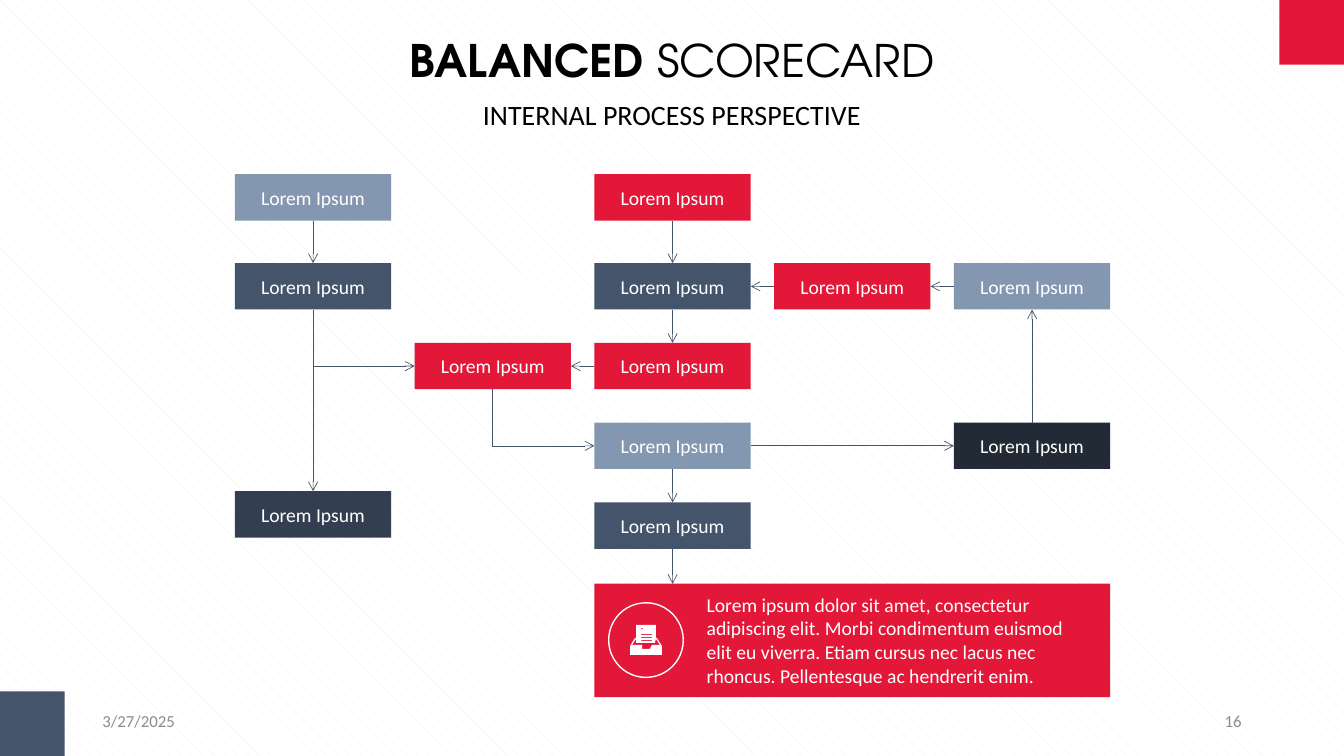
from lxml import etree
from pptx import Presentation
from pptx import util as u
from pptx.dml.color import RGBColor
from pptx.enum import dml, shapes, text
from pptx.oxml.ns import qn

RED, SLATE, STEEL = "E31737", "44546A", "8497B0"
CHARCOAL, NAVY = "333F50", "222A35"
WHITE, BLACK, GREY = "FFFFFF", "000000", "8C8C8C"
TOP, LEFT, BOTTOM, RIGHT = range(4)  # connection sites of a rectangle
CENTER, ALIGN_RIGHT = text.PP_ALIGN.CENTER, text.PP_ALIGN.RIGHT

BOX_WIDTH, BOX_HEIGHT = 3.94, 1.17
TRAY_OUTLINE = [(0, 21), (5, 13), (6.5, 13), (6.5, 0), (25.5, 0), (25.5, 13),
                (27, 13), (32, 21), (32, 30), (0, 30)]
TRAY_OPENING = [(2, 20), (6, 14), (6.5, 18), (25, 18), (25.5, 14), (30, 20),
                (21.5, 20), (20.5, 24), (12.5, 24), (11.5, 20)]
PAGE_LINES = [(11, 3, 13), (13.5, 5.5, 21.5), (11, 9, 21.5),
              (11, 12, 21.5), (11, 15, 21.5)]  # left, top, right


def color(value):
    return RGBColor.from_string(value)


def column_left(column):
    return 5.92 + 4.53 * column


def row_top(row):
    """Top of a row; rows below the heading row are evenly spaced."""
    return 4.39 if row == 0 else 6.63 + 2.01 * (row - 1)


class Scorecard:
    font = "Calibri"
    line_color = SLATE

    def __init__(self, slide):
        self.slide = slide

    def background(self):
        fill = self.slide.background.fill
        fill.patterned()
        fill.pattern = dml.MSO_PATTERN.SHINGLE
        fill.fore_color.rgb = color("F2F2F2")
        fill.back_color.rgb = color(WHITE)

    def paint(self, shape, fill=None, outline=None):
        shape.shadow.inherit = False
        if fill:
            shape.fill.solid()
            shape.fill.fore_color.rgb = color(fill)
        else:
            shape.fill.background()
        if outline:
            shape.line.color.rgb = color(outline)
            shape.line.width = u.Pt(1)
        else:
            shape.line.fill.background()
        return shape

    def shape(self, left, top, width, height, fill=None, outline=None,
              kind=shapes.MSO_SHAPE.RECTANGLE):
        shape = self.slide.shapes.add_shape(
            kind, u.Cm(left), u.Cm(top), u.Cm(width), u.Cm(height))
        return self.paint(shape, fill, outline)

    def fill_text(self, frame, parts, size, ink, align=None, font=None):
        """Put the parts, one run each, in the frame's first paragraph."""
        frame.word_wrap = True
        paragraph = frame.paragraphs[0]
        paragraph.alignment = align
        for part in parts:
            run = paragraph.add_run()
            run.text = part
            run.font.size = u.Pt(size)
            run.font.name = font or self.font
            run.font.color.rgb = color(ink)
        return paragraph

    def label(self, left, top, width, height, parts, size, ink, align=None,
              font=None, middle=False, inset=False):
        box = self.slide.shapes.add_textbox(
            u.Cm(left), u.Cm(top), u.Cm(width), u.Cm(height))
        frame = box.text_frame
        if middle:
            frame.vertical_anchor = text.MSO_ANCHOR.MIDDLE
        if not inset:
            frame.margin_left = frame.margin_right = 0
            frame.margin_top = frame.margin_bottom = 0
        return self.fill_text(frame, parts, size, ink, align, font)

    def step(self, column, row, fill):
        shape = self.shape(column_left(column), row_top(row),
                           BOX_WIDTH, BOX_HEIGHT, fill)
        shape.text_frame.vertical_anchor = text.MSO_ANCHOR.MIDDLE
        self.fill_text(shape.text_frame, ["Lorem Ipsum"], 14, WHITE, CENTER)
        return shape

    def arrow(self, x1=0, y1=0, x2=0, y2=0, kind=shapes.MSO_CONNECTOR.STRAIGHT):
        connector = self.slide.shapes.add_connector(
            kind, u.Cm(x1), u.Cm(y1), u.Cm(x2), u.Cm(y2))
        connector.line.color.rgb = color(self.line_color)
        connector.line.width = u.Pt(0.5)
        properties = connector._element.spPr
        etree.SubElement(properties.find(qn("a:ln")), qn("a:tailEnd"), type="arrow")
        etree.SubElement(properties, qn("a:effectLst"))
        return connector

    def link(self, start, start_site, end, end_site, **options):
        connector = self.arrow(**options)
        connector.begin_connect(start, start_site)
        connector.end_connect(end, end_site)
        return connector

    def link_down_then_right(self, start, end):
        connector = self.link(start, BOTTOM, end, LEFT,
                              kind=shapes.MSO_CONNECTOR.ELBOW)
        width, height = connector.width, connector.height
        connector.left += (width - height) // 2
        connector.top += (height - width) // 2
        connector.width, connector.height = height, width
        properties = connector._element.spPr
        properties.find(qn("a:prstGeom")).set("prst", "bentConnector2")
        transform = properties.find(qn("a:xfrm"))
        transform.set("rot", str(270 * 60000))
        transform.set("flipH", "1")

    def tray_icon(self, left, top):
        lines = [[(x, y), (right, y), (right, y + 1), (x, y + 1)]
                 for x, y, right in PAGE_LINES]
        builder = self.slide.shapes.build_freeform(
            *TRAY_OUTLINE[0], scale=u.Cm(0.025))
        builder.add_line_segments(TRAY_OUTLINE[1:])
        for first, *others in [TRAY_OPENING, *lines]:
            builder.move_to(*first)
            builder.add_line_segments(others)
        self.paint(builder.convert_to_shape(u.Cm(left), u.Cm(top)), WHITE)


def main():
    presentation = Presentation()
    presentation.slide_width, presentation.slide_height = u.Cm(33.87), u.Cm(19.05)
    card = Scorecard(presentation.slides.add_slide(presentation.slide_layouts[6]))
    card.background()

    card.shape(32.24, 0, 1.63, 1.63, RED)
    card.shape(0, 17.42, 1.63, 1.63, SLATE)
    footer = dict(size=12, ink=GREY, middle=True, inset=True)
    card.label(2.33, 17.65, 7.62, 1.02, ["3/27/2025"], **footer)
    card.label(23.92, 17.65, 7.62, 1.02, ["16"], align=ALIGN_RIGHT, **footer)
    title = card.label(4.07, 0.81, 25.73, 1.37, ["BALANCED ", "SCORECARD"], 32,
                       BLACK, CENTER, "TeX Gyre Adventor", middle=True)
    title.runs[0].font.bold = True
    card.label(4.07, 2.46, 25.73, 0.86, ["INTERNAL PROCESS PERSPECTIVE"], 20,
               BLACK, CENTER)

    left_start = card.step(0, 0, STEEL)
    left_middle = card.step(0, 1, SLATE)
    left_end = card.step(0, 3.86, CHARCOAL)
    junction = card.step(1, 2, RED)
    main_steps = [card.step(2, row, fill) for row, fill in
                  enumerate([RED, SLATE, RED, STEEL, SLATE])]
    feedback = card.step(3, 1, RED)
    right_top = card.step(4, 1, STEEL)
    right_bottom = card.step(4, 3, NAVY)

    downward = [(left_start, left_middle), (left_middle, left_end),
                *((main_steps[i], main_steps[i + 1]) for i in (0, 1, 3))]
    for upper, lower in downward:
        card.link(upper, BOTTOM, lower, TOP)
    for source, target in [(main_steps[2], junction), (feedback, main_steps[1]),
                           (right_top, feedback)]:
        card.link(source, LEFT, target, RIGHT)
    card.link(main_steps[3], RIGHT, right_bottom, LEFT)
    card.link(right_bottom, TOP, right_top, BOTTOM)
    card.link_down_then_right(junction, main_steps[3])
    branch_y = row_top(2) + BOX_HEIGHT / 2
    card.arrow(column_left(0) + BOX_WIDTH / 2, branch_y, column_left(1), branch_y)

    panel_top = 14.71
    card.shape(column_left(2), panel_top, 13, 2.86, RED)
    main_x = column_left(2) + BOX_WIDTH / 2
    card.arrow(main_x, row_top(4) + BOX_HEIGHT, main_x, panel_top)
    card.label(17.81, 14.94, 9.73, 2.39, [
        "Lorem ipsum dolor sit amet, consectetur adipiscing elit. Morbi "
        "condimentum euismod elit eu viverra. Etiam cursus nec lacus nec "
        "rhoncus. Pellentesque ac hendrerit enim."], 14, WHITE)
    card.tray_icon(15.88, 15.75)
    card.shape(15.34, 15.19, 1.88, 1.88, outline=WHITE,
               kind=shapes.MSO_SHAPE.OVAL)

    presentation.save("out.pptx")


if __name__ == "__main__":
    main()
